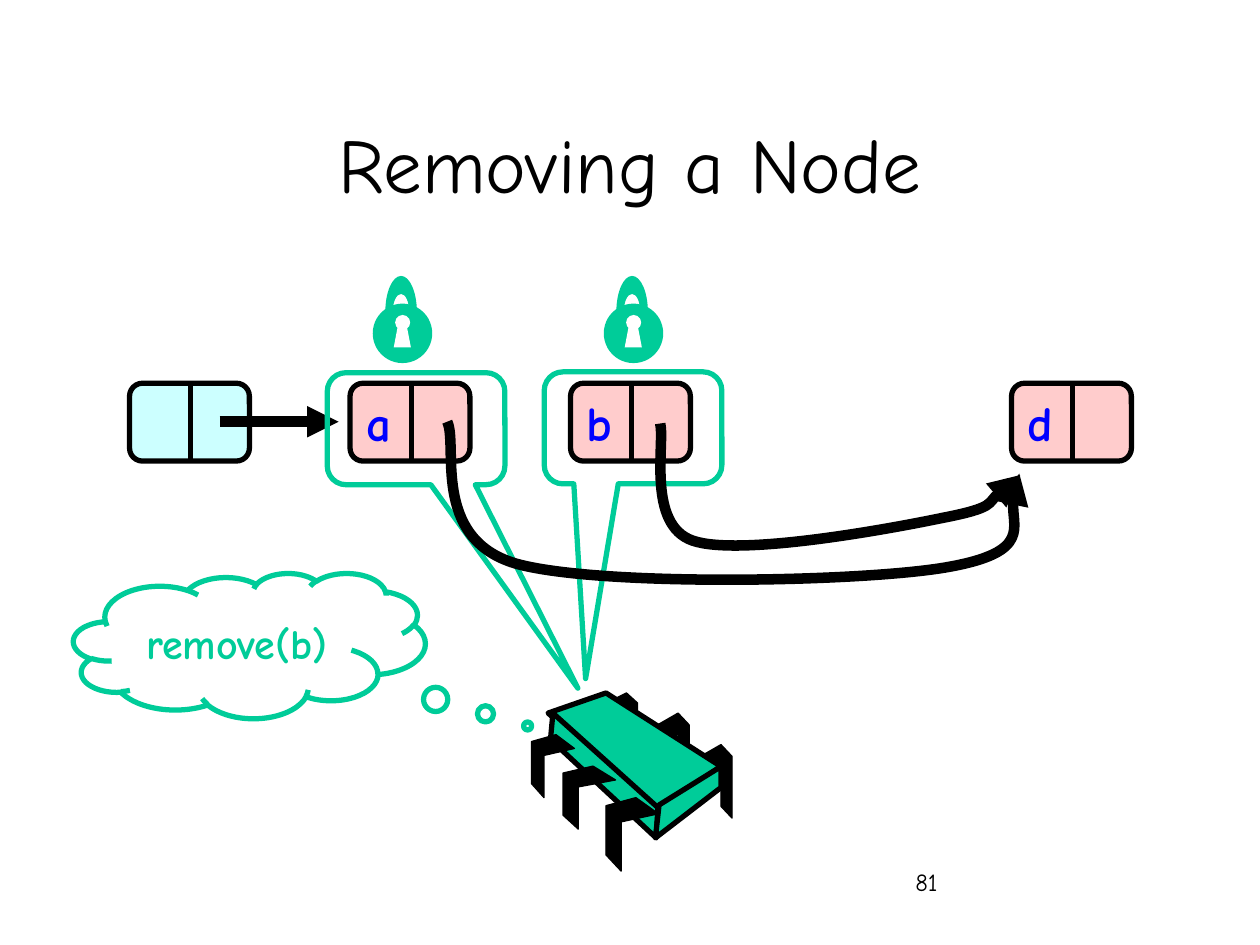
import pptx
import pptx.dml.color
import pptx.enum.shapes
import pptx.enum.text
import pptx.oxml
import pptx.oxml.ns
import pptx.util

Pt = pptx.util.Pt
SHAPE = pptx.enum.shapes.MSO_SHAPE
ALIGN = pptx.enum.text.PP_ALIGN
ANCHOR = pptx.enum.text.MSO_ANCHOR
qn = pptx.oxml.ns.qn

FONT = "Comic Neue"
BLACK, WHITE, GREEN, BLUE = "000000", "FFFFFF", "00CC99", "0000FF"
PINK, CYAN = "FFCCCC", "CCFFFF"

# Chip legs, as fractions of the leg's width and height
REAR_LEG = [(0, 0.16), (0.65, 0), (1, 0.16), (1, 1), (0.65, 0.84), (0.65, 0.28), (0, 0.43)]
FRONT_LEG = [(0.57, 0), (1, 0.22), (0.29, 0.33), (0.29, 1), (0, 0.78), (0, 0.11)]


def rgb(color):
    return pptx.dml.color.RGBColor.from_string(color)


def paint(s, fill=None, line=None, weight=3):
    s.shadow.inherit = False
    if fill:
        s.fill.solid()
        s.fill.fore_color.rgb = rgb(fill)
    else:
        s.fill.background()
    if line:
        s.line.color.rgb = rgb(line)
        s.line.width = Pt(weight)
    else:
        s.line.fill.background()


def write(s, text, size=24, color=BLACK, bold=False, align=ALIGN.LEFT,
          anchor=ANCHOR.TOP, wrap=True):
    tf = s.text_frame
    tf.word_wrap = wrap
    tf.vertical_anchor = anchor
    p = tf.paragraphs[0]
    p.alignment = align
    r = p.add_run()
    r.text = text
    r.font.name = FONT
    r.font.size = Pt(size)
    r.font.bold = bold
    r.font.color.rgb = rgb(color)


def add_text(shapes, box, text, **fmt):
    write(shapes.add_textbox(*map(Pt, box)), text, **fmt)


def add_shape(shapes, kind, box, adjust=(), **look):
    s = shapes.add_shape(kind, *map(Pt, box))
    for i, value in enumerate(adjust):
        s.adjustments[i] = value
    paint(s, **look)
    return s


def add_arrowhead(s):
    tail = pptx.oxml.parse_xml(
        '<a:tailEnd xmlns:a="http://schemas.openxmlformats.org/drawingml/2006/main" type="triangle"/>')
    s.line._get_or_add_ln().append(tail)


def add_line(shapes, x1, y1, x2, y2, weight=3):
    s = shapes.add_connector(pptx.enum.shapes.MSO_CONNECTOR.STRAIGHT,
                             Pt(x1), Pt(y1), Pt(x2), Pt(y2))
    s.line.color.rgb = rgb(BLACK)
    s.line.width = Pt(weight)
    s._element.spPr.append(pptx.oxml.parse_xml(
        '<a:effectLst xmlns:a="http://schemas.openxmlformats.org/drawingml/2006/main"/>'))
    return s


def add_outline(shapes, start, steps, close=True, **look):
    """Draw steps from start: one point is a line, three points are a Bezier curve."""
    segments = [step if isinstance(step, list) else [step] for step in steps]
    builder = shapes.build_freeform(Pt(start[0]), Pt(start[1]))
    builder.add_line_segments([(Pt(x), Pt(y)) for seg in segments for x, y in seg], close=close)
    s = builder.convert_to_shape()
    lines = iter(list(s._element.iter(qn("a:lnTo"))))
    for seg in segments:
        first = next(lines)
        if len(seg) == 3:
            curve = pptx.oxml.parse_xml(
                '<a:cubicBezTo xmlns:a="http://schemas.openxmlformats.org/drawingml/2006/main"/>')
            first.addprevious(curve)
            for part in (first, next(lines), next(lines)):
                curve.append(part[0])
                part.getparent().remove(part)
    paint(s, **look)
    return s


def add_node(slide, x, fill, label=None):
    shapes = slide.shapes.add_group_shape().shapes
    add_shape(shapes, SHAPE.ROUNDED_RECTANGLE, (x, 219, 68.5, 44.5), [0.167], fill=fill, line=BLACK)
    add_line(shapes, x + 35, 218.5, x + 35, 264)
    if label:
        add_text(shapes, (x, 221, 31, 41), label, size=28, color=BLUE, bold=True,
                 align=ALIGN.RIGHT, wrap=False)


def add_leg(shapes, outline, x, y, w, h):
    points = [(x + w * u, y + h * v) for u, v in outline]
    add_outline(shapes, points[0], points[1:], fill=BLACK, line=BLACK, weight=0.75)


def add_chip(slide):
    shapes = slide.shapes.add_group_shape().shapes
    for box in [(400.3, 425.5, 18, 42), (375.8, 407.5, 18, 42), (346.3, 396, 18, 36)]:
        add_leg(shapes, REAR_LEG, *box)
    faces = [
        [(346.3, 396), (412, 438), (375, 463), (313.2, 407.5)],
        [(316, 407.5), (376, 461.5), (375, 478.8), (314.6, 422.6)],
        [(412, 438), (412, 450), (374.5, 478.8), (376.6, 460)],
    ]
    for face in faces:
        add_outline(shapes, face[0], face[1:], fill=GREEN, line=BLACK)
    for box in [(346.3, 455.8, 30, 42), (321.8, 437.8, 30, 36), (303.8, 419.8, 24.5, 36)]:
        add_leg(shapes, FRONT_LEG, *box)


def add_lock(slide, x):
    shapes = slide.shapes.add_group_shape().shapes
    add_shape(shapes, SHAPE.OVAL, (x, 173.5, 34, 34), fill=GREEN)
    add_shape(shapes, SHAPE.OVAL, (x + 12.8, 180, 8.6, 8.6), fill=WHITE)
    add_outline(shapes, (x + 12, 198.5), [(x + 14.4, 186), (x + 19.4, 186), (x + 21.8, 198.5)],
                fill=WHITE)
    add_outline(shapes, (x + 11.5, 178), [
        [(x + 11.5, 172.5), (x + 13.5, 168), (x + 16.2, 168)],
        [(x + 18.8, 168), (x + 20.8, 172.5), (x + 20.8, 178)],
        (x + 25.2, 178),
        [(x + 25.2, 167), (x + 21.2, 157.7), (x + 16.2, 157.7)],
        [(x + 11.2, 157.7), (x + 7.2, 167), (x + 7.2, 178)],
    ], fill=GREEN)


def add_curved_arrow(shapes, start, curves):
    s = add_outline(shapes, start, curves, close=False, line=BLACK, weight=6)
    add_arrowhead(s)


def main():
    prs = pptx.Presentation()
    prs.slide_width, prs.slide_height = Pt(720), Pt(540)
    slide = prs.slides.add_slide(prs.slide_layouts[6])
    shapes = slide.shapes

    add_text(shapes, (516, 492, 150, 36), "81", size=14)
    add_text(shapes, (54, 48, 612, 90), "Removing a Node", size=44,
             align=ALIGN.CENTER, anchor=ANCHOR.MIDDLE)

    add_node(slide, 74, CYAN)
    add_node(slide, 200, PINK, "a")
    add_node(slide, 326, PINK, "b")
    add_arrowhead(add_line(shapes, 125.5, 241, 193.5, 241, weight=6))
    add_chip(slide)
    add_node(slide, 578, PINK, "d")

    callout = SHAPE.ROUNDED_RECTANGULAR_CALLOUT
    add_shape(shapes, callout, (187, 213, 101.5, 64), [0.911, 2.317, 0.167], line=GREEN)
    thought = add_shape(shapes, SHAPE.CLOUD_CALLOUT, (42, 327.5, 201, 83), [0.791, 0.553], line=GREEN)
    write(thought, "remove(b)", color=GREEN, bold=True, align=ALIGN.CENTER, anchor=ANCHOR.MIDDLE)
    add_lock(slide, 213)
    add_shape(shapes, callout, (311, 212.5, 101.5, 64), [-0.267, 2.239, 0.167], line=GREEN)
    add_lock(slide, 345)

    add_curved_arrow(shapes, (377.3, 242), [
        [(380, 253.5), (369.5, 300), (396, 309)],
        [(422.6, 318), (507, 302.5), (538.5, 296)],
        [(569.5, 290), (574, 276.5), (583, 271.5)],
    ])
    add_curved_arrow(shapes, (255.6, 241), [
        [(262, 254), (246, 307.5), (294.5, 322)],
        [(342, 335.5), (494.6, 332.6), (542, 324)],
        [(590.4, 315.4), (574, 281.5), (582.5, 270.7)],
    ])
    prs.save("out.pptx")


if __name__ == "__main__":
    main()
